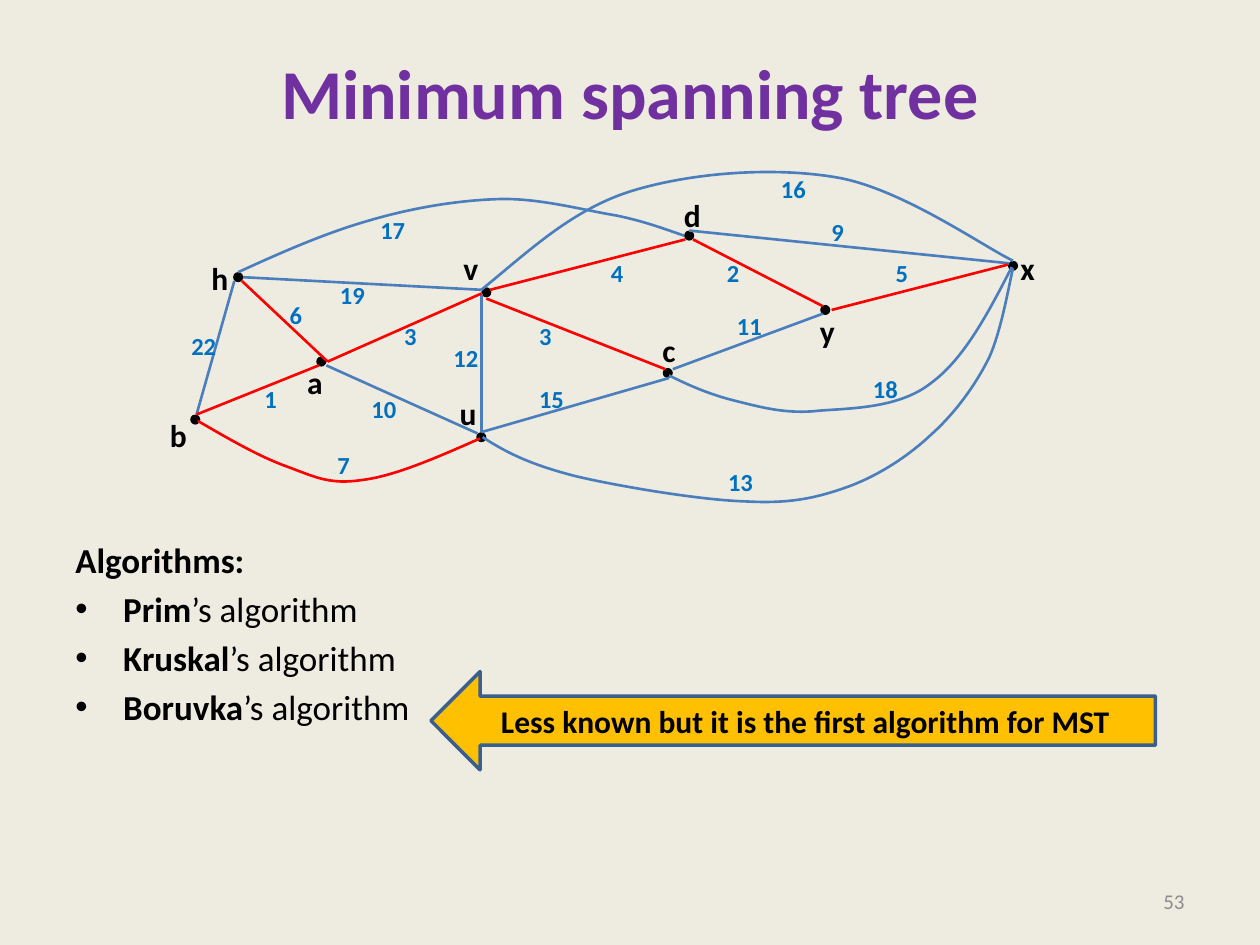
"""Build the minimum spanning tree slide."""
from dataclasses import dataclass
from typing import Any

from lxml.etree import SubElement
from pptx import Presentation
from pptx.dml.color import RGBColor
from pptx.enum.shapes import MSO_CONNECTOR as Connector, MSO_SHAPE as Preset
from pptx.enum.text import MSO_ANCHOR as Anchor, MSO_AUTO_SIZE as AutoSize, PP_ALIGN as Align
from pptx.oxml.ns import qn
from pptx.util import Inches, Pt

Point = tuple[float, float]

PAPER = RGBColor(0xEE, 0xEC, 0xE1)
BLACK = RGBColor(0, 0, 0)
PURPLE = RGBColor(0x70, 0x30, 0xA0)
GREY = RGBColor(0x8C, 0x8C, 0x8C)
BLUE = RGBColor(0x4B, 0x7E, 0xBC)
RED = RGBColor(0xFF, 0, 0)
WEIGHT_BLUE = RGBColor(0, 0x70, 0xC0)
AMBER = RGBColor(0xFF, 0xC0, 0)
NAVY = RGBColor(0x3A, 0x5F, 0x8C)

SLIDE_WIDTH, SLIDE_HEIGHT = Inches(10), Inches(7.5)
COLUMN, ROW = SLIDE_WIDTH / 100, SLIDE_HEIGHT / 75
DOT = 0.8
FONT = "Calibri"


@dataclass(frozen=True)
class Node:
    """A vertex: its name, the corner of its dot and the corner of its label."""
    name: str
    dot: Point
    label: Point


@dataclass(frozen=True)
class Weight:
    """The number written beside an edge."""
    value: int
    corner: Point


@dataclass(frozen=True)
class Edge:
    """A straight edge of two points, or a chain of cubic curves."""
    points: tuple[Point, ...]


NODES = (
    Node("h", (18.5, 21.6), (15.8, 20.1)), Node("b", (15.1, 32.9), (12.5, 32.5)),
    Node("c", (52.6, 29.2), (51.6, 25.8)), Node("d", (54.3, 18.3), (53.3, 15.1)),
    Node("u", (37.8, 34.3), (35.5, 30.8)), Node("y", (65.1, 24.2), (64.1, 24.3)),
    Node("v", (38.2, 22.8), (35.8, 19.3)), Node("a", (25.1, 28.3), (23.4, 28.3)),
    Node("x", (80, 20.7), (80, 19.3)),
)
WEIGHTS = (
    Weight(18, (68.3, 29.2)), Weight(7, (25.8, 35.2)), Weight(1, (20, 30)),
    Weight(19, (26, 21.7)), Weight(22, (14.2, 25.8)), Weight(10, (28.5, 30.8)),
    Weight(3, (31.1, 25)), Weight(12, (35, 26.7)), Weight(3, (41.8, 25)),
    Weight(15, (41.8, 30)), Weight(11, (57.5, 24.2)), Weight(5, (70.1, 20)),
    Weight(16, (61, 13.3)), Weight(17, (29.2, 16.6)), Weight(13, (56.8, 36.6)),
    Weight(4, (47.5, 20)), Weight(2, (56.7, 20)), Weight(9, (65, 16.7)),
    Weight(6, (22, 23.3)),
)
OTHER_EDGES = (
    Edge(((25.9, 29), (37.9, 34.4))),
    Edge(((38.2, 23.3), (38.2, 34.3))),
    Edge(((38.2, 34.3), (53.1, 30))),
    Edge(((53.4, 29.3), (65.3, 24.9))),
    Edge(((18.6, 22.3), (15.6, 32.9))),
    Edge(((80.1, 20.9), (54.7, 18.3))),
    Edge(((19.3, 22), (38.2, 23))),
    Edge(((53.1, 29.8), (54.7, 30.6), (56.3, 31.3), (58.3, 31.8),
          (60.3, 32.3), (62.4, 32.9), (65, 32.6),
          (67.6, 32.4), (71.4, 32.4), (73.9, 30.4),
          (76.5, 28.5), (78.4, 24.9), (80.3, 21.2))),
    Edge(((38.3, 34.7), (40.3, 36), (42.2, 36.9), (45.7, 37.8),
          (49.1, 38.6), (55.6, 39.7), (59.2, 39.8),
          (62.8, 40), (64.9, 39.5), (67.4, 38.6),
          (69.8, 37.7), (72.1, 36.2), (73.9, 34.5),
          (75.8, 32.8), (77.4, 30.6), (78.5, 28.4),
          (79.5, 26.2), (80.1, 22.5), (80.4, 21.3))),
    Edge(((18.9, 21.6), (22.4, 20), (25.8, 18.5), (29.3, 17.5),
          (32.7, 16.5), (36.3, 15.9), (39.6, 15.8),
          (42.8, 15.7), (46.4, 16.7), (48.9, 17.1),
          (51.3, 17.6), (52.8, 18.2), (54.3, 18.7))),
    Edge(((38.2, 23), (41.9, 20), (45.3, 16.7), (50, 15.2),
          (54.8, 13.7), (61.4, 13.2), (66.5, 14.1),
          (71.6, 15), (78.1, 19.6), (80.4, 20.7))),
)
TREE_EDGES = (
    Edge(((19.2, 22.3), (26, 28.7))),
    Edge(((15.6, 32.9), (25.3, 29))),
    Edge(((26, 28.7), (38.2, 23.3))),
    Edge(((52.8, 29.3), (38.6, 23.7))),
    Edge(((65.3, 24.3), (55, 19))),
    Edge(((80, 21), (66, 24.6))),
    Edge(((54.4, 19), (38.9, 23))),
    Edge(((15.7, 33.4), (18.1, 34.8), (20.5, 36.2), (22.7, 37),
          (24.9, 37.8), (26.1, 38.5), (28.7, 38.1),
          (31.3, 37.8), (34.7, 36.3), (38.1, 34.8))),
)
ALGORITHMS = ("Prim", "Kruskal", "Boruvka")


def place(left: float, top: float) -> tuple[int, int]:
    """Turn grid columns and rows into slide lengths."""
    return round(left * COLUMN), round(top * ROW)


def apply(target: Any, **values: Any) -> None:
    """Set every given format value on the target."""
    for name, value in values.items():
        setattr(target, name, value)


def write(paragraph: Any, text: str, size: float, color: RGBColor, bold: bool = True) -> None:
    """Add a formatted run to a paragraph."""
    run = paragraph.add_run()
    run.text = text
    apply(run.font, name=FONT, size=Pt(size), bold=bold)
    run.font.color.rgb = color


def add_text_frame(shapes: Any, corner: Point, extent: Point, **values: Any) -> Any:
    """Add a text box and return its formatted frame."""
    frame = shapes.add_textbox(*place(*corner), *place(*extent)).text_frame
    apply(frame, **{"word_wrap": True, **values})
    return frame


def add_label(shapes: Any, text: str, corner: Point, extent: Point, size: float,
              color: RGBColor) -> None:
    """Add a bold one-line label that fits its text."""
    frame = add_text_frame(shapes, corner, extent, word_wrap=False,
                           auto_size=AutoSize.SHAPE_TO_FIT_TEXT)
    write(frame.paragraphs[0], text, size, color)


def add_dot(shapes: Any, node: Node) -> None:
    """Draw the dot of a node."""
    dot = shapes.add_shape(Preset.OVAL, *place(*node.dot), *place(DOT, DOT))
    dot.shadow.inherit = False
    dot.fill.solid()
    dot.fill.fore_color.rgb = BLACK
    dot.line.fill.background()


def add_curve(shapes: Any, points: tuple[Point, ...]) -> Any:
    """Draw an open outline and bend each three segments into one cubic curve."""
    start, *others = (place(*point) for point in points)
    builder = shapes.build_freeform(*start)
    builder.add_line_segments(others, close=False)
    curve = builder.convert_to_shape()
    curve.shadow.inherit = False
    curve.fill.background()
    segments = list(curve._element.iter(qn("a:lnTo")))
    for first in range(0, len(segments), 3):
        outline = segments[first].getparent()
        cubic = SubElement(outline, qn("a:cubicBezTo"))
        for segment in segments[first:first + 3]:
            cubic.append(segment[0])
            outline.remove(segment)
    return curve


def add_edge(shapes: Any, edge: Edge, color: RGBColor) -> None:
    """Draw an edge as a line or as a curve."""
    if len(edge.points) == 2:
        start, end = edge.points
        shape = shapes.add_connector(Connector.STRAIGHT, *place(*start), *place(*end))
        SubElement(shape._element.spPr, qn("a:effectLst"))
    else:
        shape = add_curve(shapes, edge.points)
    shape.line.color.rgb = color
    shape.line.width = Pt(1.5)


def add_algorithms(shapes: Any) -> None:
    """Write the heading and the bulleted algorithms."""
    frame = add_text_frame(shapes, (5, 17.5), (90, 49.5), margin_top=round(25.2 * ROW))
    write(frame.paragraphs[0], "Algorithms:", 20, BLACK)
    for name in ALGORITHMS:
        paragraph = frame.add_paragraph()
        paragraph.space_before = Pt(4)
        properties = paragraph._p.get_or_add_pPr()
        properties.set("marL", str(Inches(0.38)))
        properties.set("indent", str(-Inches(0.38)))
        SubElement(properties, qn("a:buFont"), typeface="Arial")
        SubElement(properties, qn("a:buChar"), char="•")
        write(paragraph, name, 20, BLACK)
        write(paragraph, "’s algorithm", 20, BLACK, bold=False)


def add_arrow(shapes: Any) -> None:
    """Draw the arrow that comments on the last algorithm."""
    arrow = shapes.add_shape(Preset.LEFT_ARROW, *place(34.2, 53.3), *place(57.5, 7.8))
    arrow.shadow.inherit = False
    arrow.fill.solid()
    arrow.fill.fore_color.rgb = AMBER
    arrow.line.color.rgb = NAVY
    arrow.line.width = Pt(2)
    apply(arrow.text_frame, vertical_anchor=Anchor.MIDDLE, word_wrap=True)
    paragraph = arrow.text_frame.paragraphs[0]
    paragraph.alignment = Align.CENTER
    write(paragraph, "Less known but it is the first algorithm for MST", 18, BLACK)


def main() -> None:
    """Build and save the slide."""
    presentation = Presentation()
    apply(presentation, slide_width=SLIDE_WIDTH, slide_height=SLIDE_HEIGHT)
    slide = presentation.slides.add_slide(presentation.slide_layouts[6])
    slide.background.fill.solid()
    slide.background.fill.fore_color.rgb = PAPER
    shapes = slide.shapes

    title = add_text_frame(shapes, (5, 3), (90, 12.5), vertical_anchor=Anchor.MIDDLE,
                           margin_bottom=round(4.4 * ROW)).paragraphs[0]
    title.alignment = Align.CENTER
    write(title, "Minimum spanning tree", 40, PURPLE)
    add_algorithms(shapes)
    number = add_text_frame(shapes, (71.7, 69.5), (23.3, 4),
                            vertical_anchor=Anchor.MIDDLE).paragraphs[0]
    number.alignment = Align.RIGHT
    write(number, "53", 12, GREY, bold=False)

    for node in NODES:
        add_dot(shapes, node)
    for edge in OTHER_EDGES:
        add_edge(shapes, edge, BLUE)
    tree = shapes.add_group_shape()
    for edge in TREE_EDGES:
        add_edge(tree.shapes, edge, RED)
    for node in NODES:
        add_label(shapes, node.name, node.label, (3.3, 4), 18, BLACK)
    for weight in WEIGHTS:
        text = str(weight.value)
        add_label(shapes, text, weight.corner, (2 + len(text), 3.4), 14, WEIGHT_BLUE)
    add_arrow(shapes)
    presentation.save("out.pptx")


if __name__ == "__main__":
    main()
